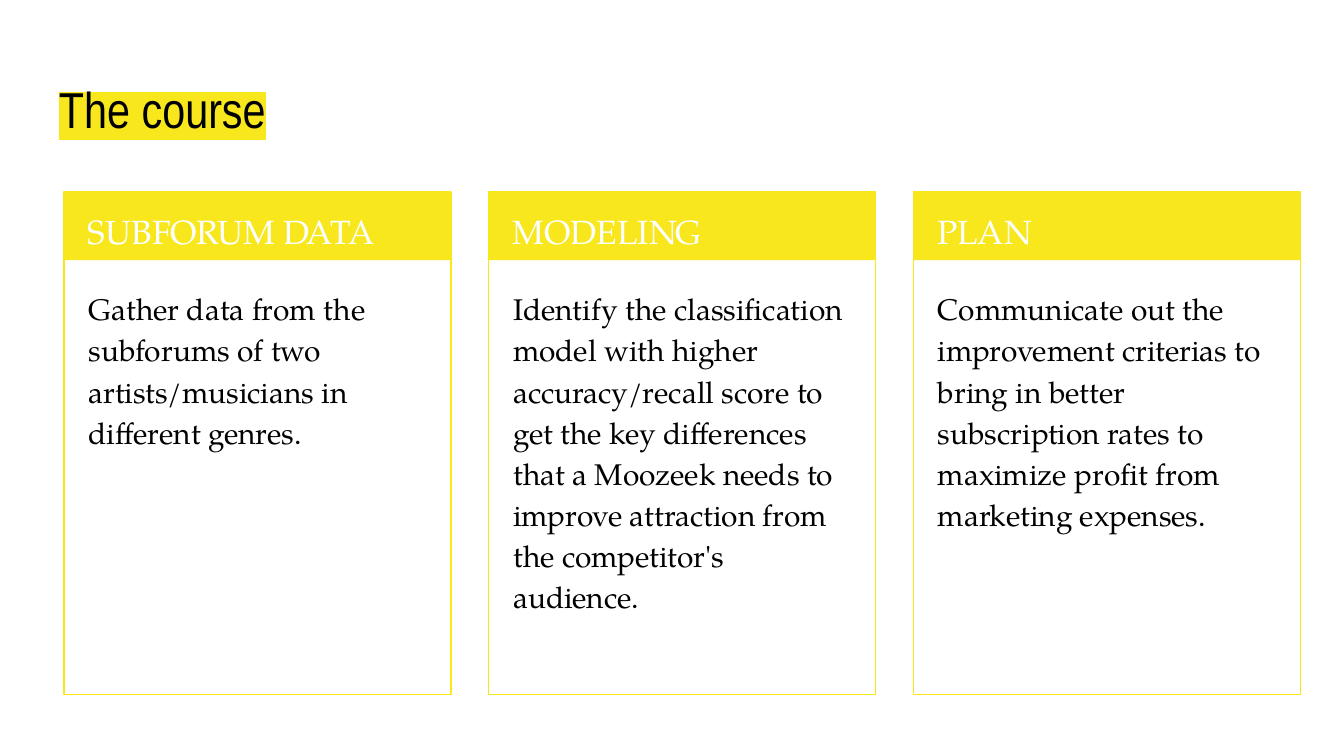
from lxml import etree
from pptx import Presentation
from pptx import util as u
from pptx.dml.color import RGBColor
from pptx.enum import shapes, text
from pptx.oxml.ns import qn

PX = 4572  # 200 px to the inch
YELLOW = RGBColor(0xF8, 0xE7, 0x1C)
WHITE = RGBColor(0xFF, 0xFF, 0xFF)
BLACK = RGBColor(0x00, 0x00, 0x00)
SERIF = "TeX Gyre Pagella"

prs = Presentation()
prs.slide_width, prs.slide_height = 2000 * PX, 1125 * PX
slide = prs.slides.add_slide(prs.slide_layouts[6])


def add_text(words, left, top, width, height, size, font=SERIF, color=BLACK,
             anchor=text.MSO_ANCHOR.TOP, spacing=1.15, after=0, highlight=None):
    box = slide.shapes.add_textbox(left * PX, top * PX, width * PX, height * PX)
    frame = box.text_frame
    frame.word_wrap = True
    frame.vertical_anchor = anchor
    frame.margin_left = frame.margin_right = 20 * PX
    frame.margin_top = frame.margin_bottom = 20 * PX
    paragraph = frame.paragraphs[0]
    paragraph.line_spacing = spacing
    paragraph.space_after = u.Pt(after)
    run = paragraph.add_run()
    run.text = words
    run.font.size = u.Pt(size)
    run.font.color.rgb = color
    run.font.name = font
    if highlight is not None:
        mark = etree.Element(qn("a:highlight"))
        etree.SubElement(mark, qn("a:srgbClr")).set("val", str(highlight))
        # The highlight follows the fill in the run properties
        run.font._element.find(qn("a:solidFill")).addnext(mark)


# Title
add_text("The course", 68, 100, 1864, 127, size=27, font="Arial Narrow",
         anchor=text.MSO_ANCHOR.BOTTOM, spacing=1.0, highlight=YELLOW)

# Three cards: yellow header band, outlined frame, heading and body
CARD_LEFT, CARD_TOP, CARD_WIDTH, CARD_STEP = 95, 286, 576, 632
BAND_HEIGHT, FRAME_HEIGHT = 101, 748
steps = [
    ("SUBFORUM DATA",
     "Gather data from the subforums of two artists/musicians in different genres."),
    ("MODELING",
     "Identify the classification model with higher accuracy/recall score to get "
     "the key differences that a Moozeek needs to improve attraction from the "
     "competitor's audience."),
    ("PLAN",
     "Communicate out the improvement criterias to bring in better subscription "
     "rates to maximize profit from marketing expenses."),
]

for index, (heading, body) in enumerate(steps):
    left = CARD_LEFT + index * CARD_STEP
    card = slide.shapes.add_group_shape()

    band = card.shapes.add_shape(shapes.MSO_SHAPE.RECTANGLE, left * PX, CARD_TOP * PX,
                                 CARD_WIDTH * PX, BAND_HEIGHT * PX)
    band.shadow.inherit = False
    band.fill.solid()
    band.fill.fore_color.rgb = YELLOW
    band.line.fill.background()

    frame = card.shapes.add_shape(shapes.MSO_SHAPE.RECTANGLE, left * PX, CARD_TOP * PX,
                                  CARD_WIDTH * PX, FRAME_HEIGHT * PX)
    frame.shadow.inherit = False
    frame.fill.background()
    frame.line.color.rgb = YELLOW
    frame.line.width = u.Pt(0.75)

    add_text(heading, left + 16, 285, 546, 100, size=18, color=WHITE)
    add_text(body, left + 17, 405, 542, 612, size=16, after=12)

prs.save("out.pptx")
